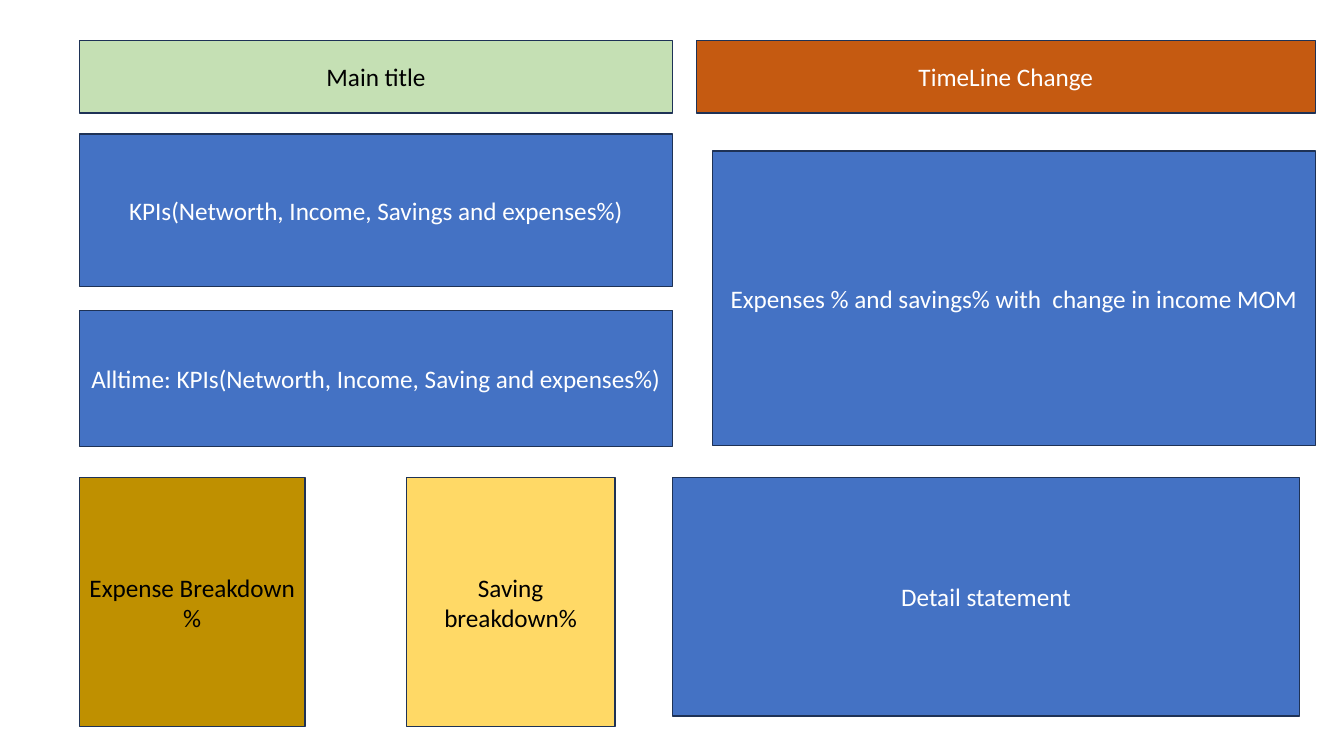
"""Build a wireframe slide for a personal finance dashboard."""
from pptx import Presentation
from pptx.dml.color import RGBColor
from pptx.enum import shapes, text
from pptx.util import Cm, Pt

COLORS = {
    "blue": "4472C4", "green": "C5E0B4", "orange": "C55A11",
    "gold": "BF9000", "yellow": "FFD966", "outline": "1E3256",
    "black": "000000", "white": "FFFFFF",
}
LEFT, LEFT_WIDTH, RIGHT_EDGE = 2, 14.95, 33.15
TOP, HEADER_HEIGHT = 1.02, 1.83
BOTTOM_TOP, BREAKDOWN_HEIGHT = 12.04, 6.27

TITLE = ("Main title", "green", "black", LEFT, TOP, LEFT_WIDTH, HEADER_HEIGHT)
PANELS = [
    ("KPIs(Networth, Income, Savings and expenses%)", "blue", "white",
     LEFT, 3.38, LEFT_WIDTH, 3.84),
    ("Alltime: KPIs(Networth, Income, Saving and expenses%)", "blue", "white",
     LEFT, 7.82, LEFT_WIDTH, 3.43),
    ("Expense Breakdown %", "gold", "black",
     LEFT, BOTTOM_TOP, 5.69, BREAKDOWN_HEIGHT),
    ("Saving breakdown%", "yellow", "black",
     10.24, BOTTOM_TOP, 5.26, BREAKDOWN_HEIGHT),
    ("TimeLine Change", "orange", "white",
     17.55, TOP, RIGHT_EDGE - 17.55, HEADER_HEIGHT),
    ("Expenses % and savings% with  change in income MOM", "blue", "white",
     17.96, 3.81, RIGHT_EDGE - 17.96, 7.42),
    ("Detail statement", "blue", "white",
     LEFT + LEFT_WIDTH, BOTTOM_TOP, 15.8, 6),
]


def rgb(name):
    return RGBColor.from_string(COLORS[name])


def format_panel(sp, label, fill, ink, *box):
    sp.left, sp.top, sp.width, sp.height = map(Cm, box)
    sp.fill.solid()
    sp.fill.fore_color.rgb = rgb(fill)
    sp.line.color.rgb = rgb("outline")
    sp.line.width = Pt(1)
    tf = sp.text_frame
    tf.text = label
    tf.word_wrap = True
    tf.auto_size = text.MSO_AUTO_SIZE.NONE
    tf.vertical_anchor = text.MSO_ANCHOR.MIDDLE
    p = tf.paragraphs[0]
    p.alignment = text.PP_ALIGN.CENTER
    p.font.name = "Calibri"
    p.font.size = Pt(18)
    p.font.color.rgb = rgb(ink)


prs = Presentation()
prs.slide_width, prs.slide_height = Cm(33.87), Cm(19.05)
s = prs.slides.add_slide(prs.slide_layouts[5])
format_panel(s.shapes.title, *TITLE)
for panel in PANELS:
    sp = s.shapes.add_shape(shapes.MSO_SHAPE.RECTANGLE, 0, 0, 0, 0)
    sp.shadow.inherit = False
    format_panel(sp, *panel)
prs.save("out.pptx")
